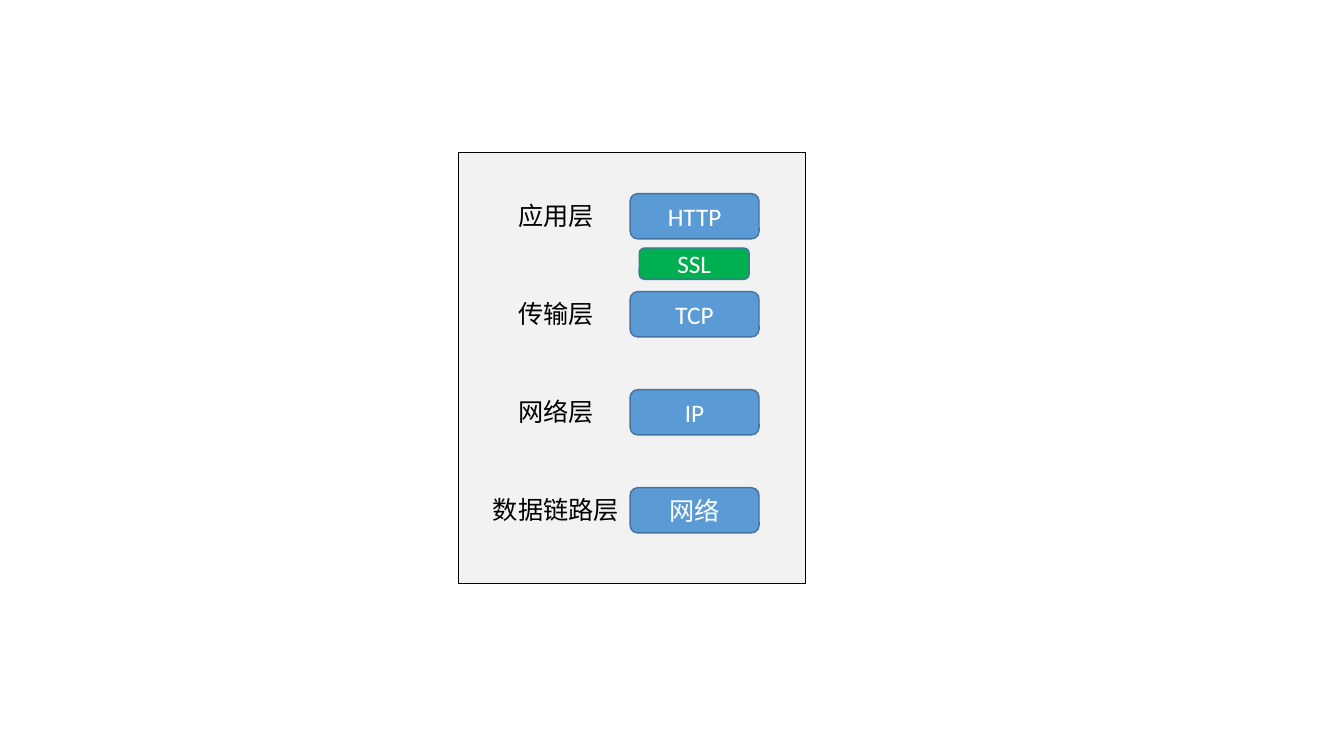
from pptx import Presentation
from pptx.dml.color import RGBColor
from pptx.enum.shapes import MSO_SHAPE as SHAPE
from pptx.enum.text import MSO_ANCHOR as ANCHOR, MSO_AUTO_SIZE as AUTO, PP_ALIGN as ALIGN
from pptx.util import Cm, Pt

COLORS = {
    "panel": "F2F2F2",
    "black": "000000",
    "white": "FFFFFF",
    "blue": "5B9BD5",
    "outline": "43739E",
    "green": "00B050",
}
LAYERS = [
    ("应用层", "HTTP"),
    ("传输层", "TCP"),
    ("网络层", "IP"),
    ("数据链路层", "网络"),
]


def color(name):
    return RGBColor.from_string(COLORS[name])


def write(tf, text, ink):
    p = tf.paragraphs[0]
    p.text = text
    p.alignment = ALIGN.CENTER
    p.font.name = "Calibri"
    p.font.size = Pt(18)
    p.font.color.rgb = color(ink)


def add_box(s, kind, x, y, w, h, fill, line):
    sp = s.shapes.add_shape(kind, Cm(x), Cm(y), Cm(w), Cm(h))
    sp.shadow.inherit = False
    sp.fill.solid()
    sp.fill.fore_color.rgb = color(fill)
    sp.line.color.rgb = color(line)
    sp.line.width = Pt(1)
    return sp


def add_protocol(s, x, y, w, h, text, fill):
    sp = add_box(s, SHAPE.ROUNDED_RECTANGLE, x, y, w, h, fill, "outline")
    tf = sp.text_frame
    tf.vertical_anchor = ANCHOR.MIDDLE
    write(tf, text, "white")


def add_label(s, center, y, text):
    w = 0.61 * len(text) + 0.79
    sp = s.shapes.add_textbox(Cm(center - w / 2), Cm(y), Cm(w), Cm(1.02))
    tf = sp.text_frame
    tf.word_wrap = False
    tf.auto_size = AUTO.SHAPE_TO_FIT_TEXT
    write(tf, text, "black")


def add_stack(s, x, y, w, h):
    add_box(s, SHAPE.RECTANGLE, x, y, w, h, "panel", "black")
    for i, (layer, protocol) in enumerate(LAYERS):
        top = y + 1.04 + 2.47 * i
        add_protocol(s, x + 4.32, top, 3.25, 1.14, protocol, "blue")
        add_label(s, x + 2.45, top + 0.05, layer)
    add_protocol(s, x + 4.55, y + 2.41, 2.77, 0.79, "SSL", "green")


def main():
    prs = Presentation()
    prs.slide_width, prs.slide_height = Cm(33.87), Cm(19.05)
    s = prs.slides.add_slide(prs.slide_layouts[6])
    add_stack(s, 11.56, 3.84, 8.74, 10.87)
    prs.save("out.pptx")


if __name__ == "__main__":
    main()
